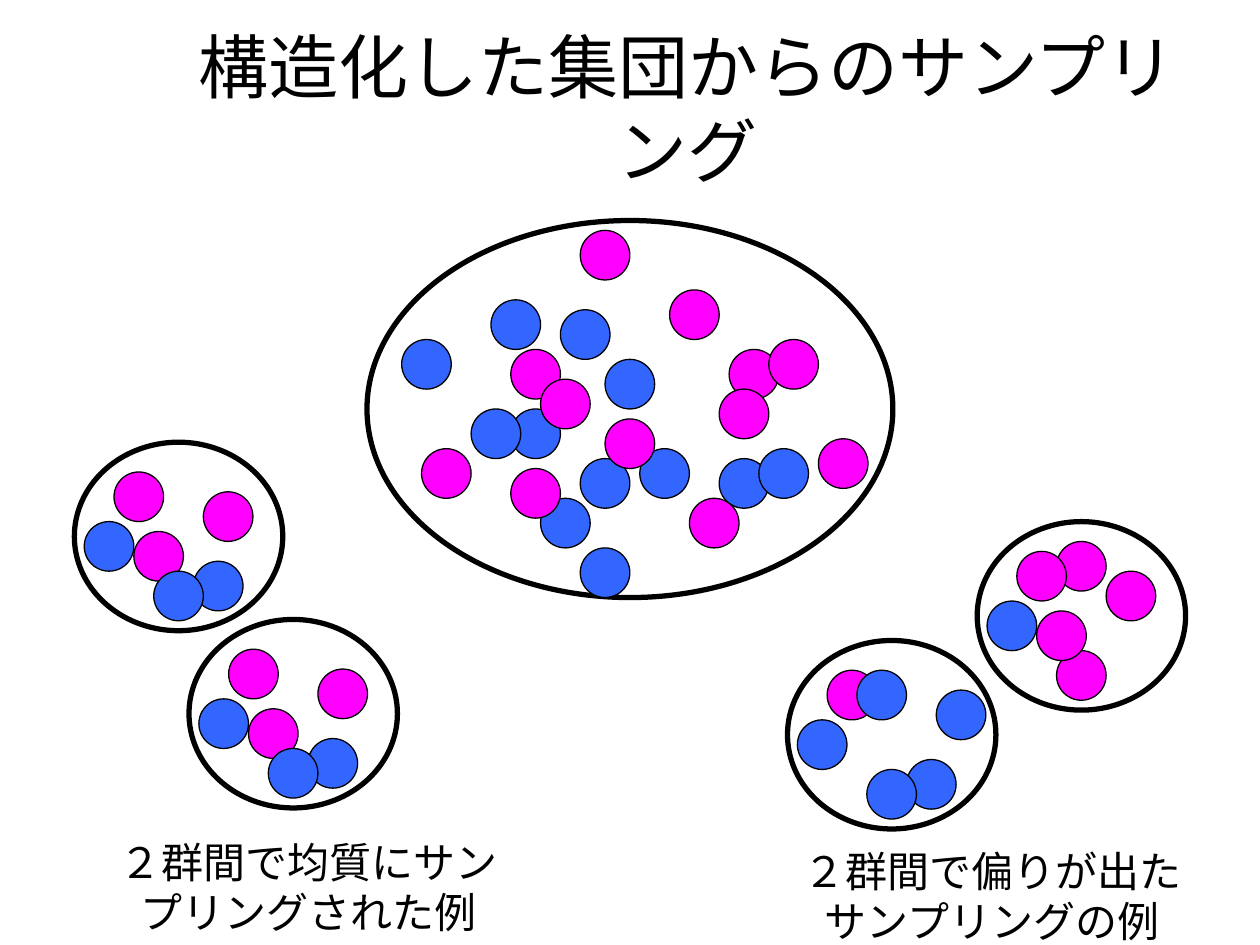
from dataclasses import dataclass

from pptx import Presentation
from pptx.dml.color import RGBColor
from pptx.enum.shapes import MSO_SHAPE
from pptx.enum.text import MSO_ANCHOR, PP_ALIGN
from pptx.util import Pt

OVAL = MSO_SHAPE.OVAL
CENTER = PP_ALIGN.CENTER
TOP, MIDDLE = MSO_ANCHOR.TOP, MSO_ANCHOR.MIDDLE


@dataclass(frozen=True)
class Theme:
    ink: RGBColor = RGBColor(0x00, 0x00, 0x00)
    paper: RGBColor = RGBColor(0xFF, 0xFF, 0xFF)
    blue: RGBColor = RGBColor(0x33, 0x66, 0xFF)
    pink: RGBColor = RGBColor(0xFF, 0x00, 0xFF)
    title_font: str = "Arial"
    caption_font: str = "Times New Roman"
    title_size: float = 40
    caption_size: float = 24
    outline: float = 3
    dot_outline: float = 0.75


THEME = Theme()
GRID = 5.67
DOT = 5 * GRID
POPULATION_SIZE = (53 * GRID, 38 * GRID)
SAMPLE_SIZE = (21 * GRID, 19 * GRID)
CAPTION_SIZE = (232.56, 64.8)

POPULATION_DOTS = (
    (THEME.blue, [(12.5, 8), (19.5, 9), (14.5, 19), (24, 14), (21.5, 24), (27.5, 23),
                  (35.5, 24), (21.5, 33), (39.5, 23), (17.5, 28), (10.5, 19), (3.5, 12)]),
    (THEME.pink, [(30.5, 7), (21.5, 1), (36.5, 13), (40.5, 12), (35.5, 17), (45.5, 22),
                  (24, 20), (14.5, 25), (14.5, 13), (5.5, 23), (32.5, 28), (17.5, 16)]),
)
EVEN_DOTS = (
    (THEME.pink, [(4, 3), (6, 9), (13, 5)]),
    (THEME.blue, [(12, 12), (8, 13), (1, 8)]),
)
MOSTLY_PINK_DOTS = (
    (THEME.pink, [(8, 13), (8, 2), (4, 3), (6, 9), (13, 5)]),
    (THEME.blue, [(1, 8)]),
)
MOSTLY_BLUE_DOTS = (
    (THEME.pink, [(4, 3)]),
    (THEME.blue, [(12, 12), (8, 13), (1, 8), (15, 5), (7, 3)]),
)


def add_oval(shapes, box, fill, line_width):
    oval = shapes.add_shape(OVAL, *map(Pt, box))
    oval.shadow.inherit = False
    oval.fill.solid()
    oval.fill.fore_color.rgb = fill
    oval.line.color.rgb = THEME.ink
    oval.line.width = Pt(line_width)


def add_text(page, box, text, *, font, size, anchor=TOP):
    frame = page.shapes.add_textbox(*map(Pt, box)).text_frame
    frame.word_wrap = True
    frame.vertical_anchor = anchor
    para = frame.paragraphs[0]
    para.alignment = CENTER
    span = para.add_run()
    span.text = text
    span.font.name = font
    span.font.size = Pt(size)
    span.font.color.rgb = THEME.ink


def add_population(page, box, dots):
    left, top = box[:2]
    group = page.shapes.add_group_shape()
    add_oval(group.shapes, box, THEME.paper, THEME.outline)
    for colour, places in dots:
        for column, row in places:
            dot_box = (left + column * GRID, top + row * GRID, DOT, DOT)
            add_oval(group.shapes, dot_box, colour, THEME.dot_outline)


def add_title(page, box):
    add_text(page, box, "構造化した集団からのサンプリング",
             font=THEME.title_font, size=THEME.title_size, anchor=MIDDLE)


def add_example(page, box, caption, samples):
    for position, dots in samples:
        add_population(page, (*position, *SAMPLE_SIZE), dots)
    add_text(page, box, caption, font=THEME.caption_font, size=THEME.caption_size)


def main():
    deck = Presentation()
    deck.slide_width, deck.slide_height = Pt(720), Pt(540)
    page = deck.slides.add_slide(deck.slide_layouts[6])
    add_title(page, (93.6, 37.44, 598.32, 47.52))
    add_population(page, (209.7, 126, *POPULATION_SIZE), POPULATION_DOTS)
    add_example(page, (59.76, 474.5, *CAPTION_SIZE), "２群間で均質にサンプリングされた例",
                [((42.5, 252.7), EVEN_DOTS), ((108, 354), EVEN_DOTS)])
    add_example(page, (450.72, 479.5, *CAPTION_SIZE), "２群間で偏りが出たサンプリングの例",
                [((558.4, 298.1), MOSTLY_PINK_DOTS), ((450, 366), MOSTLY_BLUE_DOTS)])
    deck.save("out.pptx")


if __name__ == "__main__":
    main()
